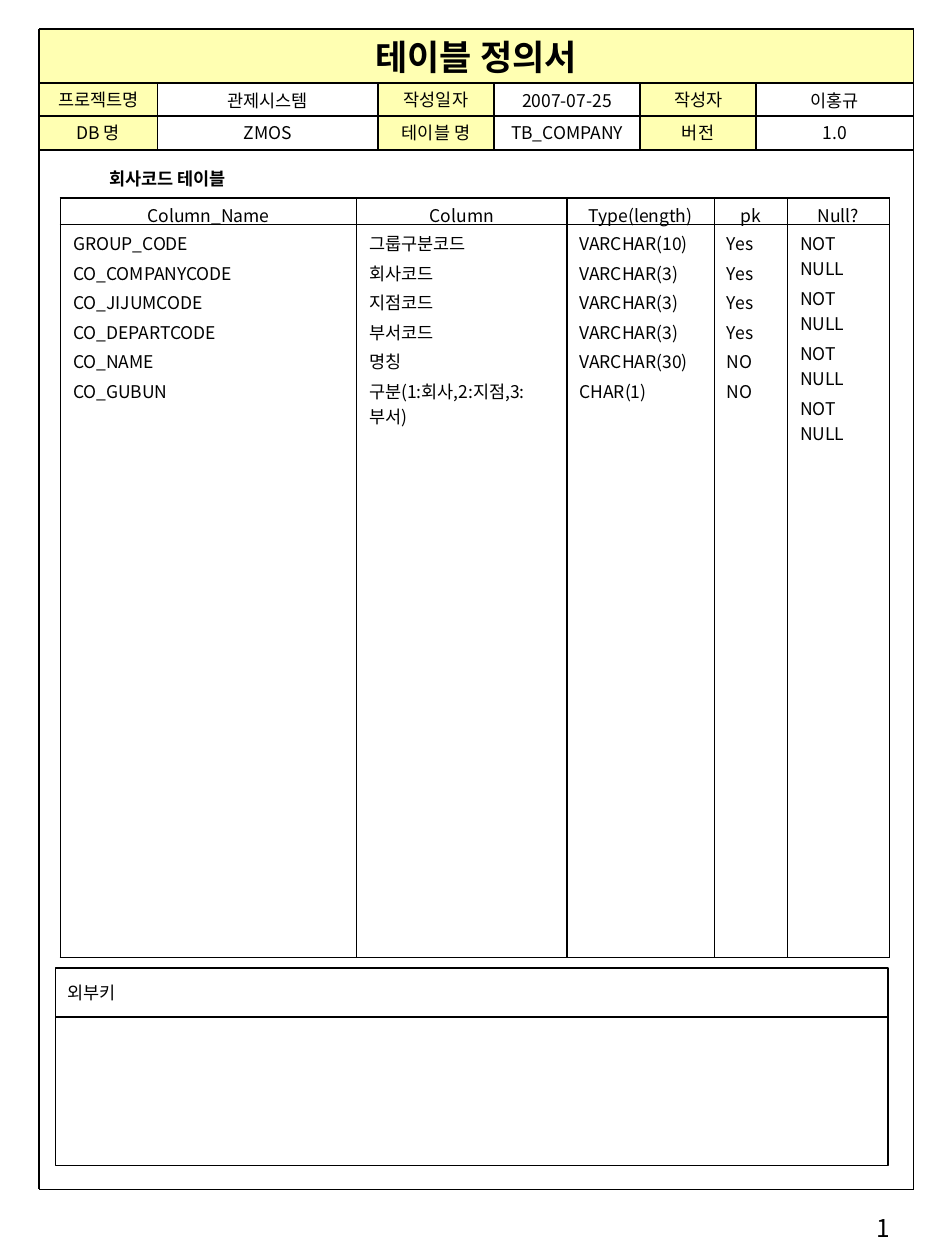
from dataclasses import dataclass
from itertools import product
from typing import Optional

from lxml.etree import SubElement
from pptx import Presentation
from pptx.dml.color import RGBColor
from pptx.enum.shapes import MSO_CONNECTOR, MSO_SHAPE
from pptx.enum.text import MSO_ANCHOR, PP_ALIGN
from pptx.oxml import parse_xml
from pptx.oxml.ns import nsdecls, qn
from pptx.util import Inches, Pt

FONT = "Noto Sans CJK KR"
BLACK = "000000"
YELLOW = "FFFF66"
LEFT, TOP, RIGHT, BOTTOM = 0.31, 0.23, 7.25, 9.44
ROW_EDGES = [0.66, 0.92, 1.19]
FORM_EDGES = [LEFT, 1.25, 3, 3.92, 5.08, 6, RIGHT]
HEAD_HEIGHT, BODY_HEIGHT = 0.21, 5.82


@dataclass
class Box:
    text: str
    x: float
    y: float
    w: float
    h: float
    size: float = 10
    bold: bool = False
    align: PP_ALIGN = PP_ALIGN.CENTER
    anchor: MSO_ANCHOR = MSO_ANCHOR.TOP
    wrap: bool = True
    fill: Optional[str] = None
    line: Optional[str] = None


@dataclass
class Column:
    title: str
    width: float
    values: list[str]


FIELDS = [
    [("프로젝트명", "관제시스템"), ("작성일자", "2007-07-25"), ("작성자", "이홍규")],
    [("DB 명", "ZMOS"), ("테이블 명", "TB_COMPANY"), ("버전", "1.0")],
]
COLUMNS = [
    Column("Column_Name", 2.35, ["GROUP_CODE", "CO_COMPANYCODE", "CO_JIJUMCODE",
                                 "CO_DEPARTCODE", "CO_NAME", "CO_GUBUN"]),
    Column("Column", 1.67, ["그룹구분코드", "회사코드", "지점코드", "부서코드", "명칭",
                            "구분(1:회사,2:지점,3:부서)"]),
    Column("Type(length)", 1.17, ["VARCHAR(10)"] + ["VARCHAR(3)"] * 3
           + ["VARCHAR(30)", "CHAR(1)"]),
    Column("pk", 0.58, ["Yes"] * 4 + ["NO"] * 2),
    Column("Null?", 0.81, ["NOT NULL"] * 4),
]


def color(value: str) -> RGBColor:
    return RGBColor.from_string(value)


def write(tf, lines: list[str], align: PP_ALIGN, size: float = 10, bold: bool = False) -> None:
    for i, text in enumerate(lines):
        p = tf.add_paragraph() if i else tf.paragraphs[0]
        p.alignment = align
        if i:
            p.space_before = Pt(2.5)
        r = p.add_run()
        r.text = text
        for name, value in {"size": Pt(size), "bold": bold, "name": FONT}.items():
            setattr(r.font, name, value)
        r.font.color.rgb = color(BLACK)
        SubElement(r.font._element, qn("a:ea"), typeface=FONT)


def draw_box(s, box: Box) -> None:
    frame = [Inches(v) for v in (box.x, box.y, box.w, box.h)]
    if box.fill or box.line:
        sp = s.shapes.add_shape(MSO_SHAPE.RECTANGLE, *frame)
        sp.shadow.inherit = False
        if box.fill:
            sp.fill.solid()
            sp.fill.fore_color.rgb = color(box.fill)
            tone = sp._element.spPr.find(qn("a:solidFill"))[0]
            SubElement(tone, qn("a:alpha"), val="50000")
        else:
            sp.fill.background()
        if box.line:
            sp.line.color.rgb = color(box.line)
            sp.line.width = Pt(1)
        else:
            sp.line.fill.background()
    else:
        sp = s.shapes.add_textbox(*frame)
    if box.text:
        tf = sp.text_frame
        for name, value in {"word_wrap": box.wrap, "vertical_anchor": box.anchor}.items():
            setattr(tf, name, value)
        write(tf, [box.text], box.align, box.size, box.bold)


def draw_line(s, x1: float, y1: float, x2: float, y2: float) -> None:
    sp = s.shapes.add_connector(MSO_CONNECTOR.STRAIGHT,
                                Inches(x1), Inches(y1), Inches(x2), Inches(y2))
    sp.line.color.rgb = color(BLACK)
    sp.line.width = Pt(1)
    SubElement(sp._element.spPr, qn("a:effectLst"))


def draw_form(s) -> None:
    draw_box(s, Box("테이블 정의서", LEFT, TOP, RIGHT - LEFT, 0.43, 20, True, fill=YELLOW))
    for y, row in zip(ROW_EDGES, FIELDS):
        for i, (label, value) in enumerate(row):
            x, mid, end = FORM_EDGES[2 * i:2 * i + 3]
            draw_box(s, Box(label, x, y, mid - x, 0.27, fill=YELLOW))
            draw_box(s, Box(value, mid, y + 0.01, end - mid, 0.25,
                            anchor=MSO_ANCHOR.MIDDLE, wrap=False))
    for y in [TOP, *ROW_EDGES, BOTTOM]:
        draw_line(s, LEFT, y, RIGHT, y)
    for x in (LEFT, RIGHT):
        draw_line(s, x, TOP, x, BOTTOM)
    for x in FORM_EDGES[1:-1]:
        draw_line(s, x, ROW_EDGES[0], x, ROW_EDGES[-1])


def format_cell(cell, top: float) -> None:
    margins = {"margin_left": 0.1, "margin_right": 0.1, "margin_top": top, "margin_bottom": 0}
    for name, value in margins.items():
        setattr(cell, name, Inches(value))
    cell.fill.background()
    tcPr = cell._tc.get_or_add_tcPr()
    for i, side in enumerate("LRTB"):
        tcPr.insert(i, parse_xml(
            f'<a:ln{side} {nsdecls("a")} w="12700"><a:solidFill>'
            f'<a:srgbClr val="{BLACK}"/></a:solidFill></a:ln{side}>'))


def draw_columns(s) -> None:
    width = sum(c.width for c in COLUMNS)
    table = s.shapes.add_table(2, len(COLUMNS), Inches(0.48), Inches(1.57), Inches(width),
                               Inches(HEAD_HEIGHT + BODY_HEIGHT)).table
    for name in ("first_row", "horz_banding"):
        setattr(table, name, False)
    for row, height in zip(table.rows, (HEAD_HEIGHT, BODY_HEIGHT)):
        row.height = Inches(height)
    for i, column in enumerate(COLUMNS):
        table.columns[i].width = Inches(column.width)
        write(table.cell(0, i).text_frame, [column.title], PP_ALIGN.CENTER)
        write(table.cell(1, i).text_frame, column.values, PP_ALIGN.LEFT)
    for row, i in product(range(2), range(len(COLUMNS))):
        format_cell(table.cell(row, i), 0.05 if row else 0.04)


def main() -> None:
    prs = Presentation()
    prs.slide_width, prs.slide_height = Inches(7.5), Inches(10)
    s = prs.slides.add_slide(prs.slide_layouts[6])
    draw_form(s)
    draw_box(s, Box("회사코드 테이블", 0.58, 1.3, 1.5, 0.24, bold=True,
                    anchor=MSO_ANCHOR.MIDDLE, wrap=False))
    draw_columns(s)
    draw_box(s, Box("외부키", 0.44, 7.68, 6.61, 0.39, align=PP_ALIGN.LEFT,
                    anchor=MSO_ANCHOR.MIDDLE, wrap=False, line=BLACK))
    draw_box(s, Box("", 0.44, 8.07, 6.61, 1.18, line=BLACK))
    draw_box(s, Box("1", 5.6, 9.58, 1.56, 0.19, 14, align=PP_ALIGN.RIGHT))
    prs.save("out.pptx")


if __name__ == "__main__":
    main()
